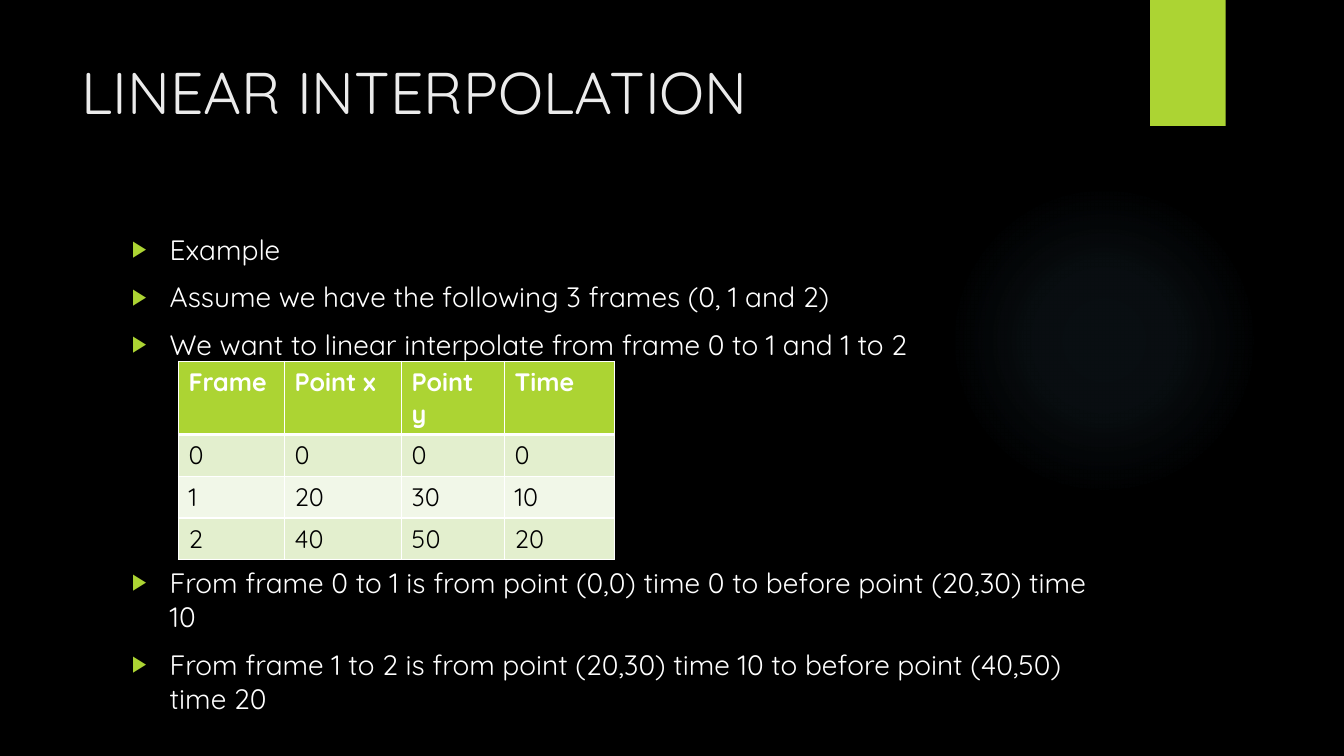
"""Build a dark slide explaining linear interpolation with a table of frames."""
import dataclasses

import lxml.etree
import pptx
import pptx.dml.color
import pptx.enum.shapes
import pptx.enum.text
import pptx.oxml
import pptx.oxml.ns
import pptx.util

Pt = pptx.util.Pt
qn = pptx.oxml.ns.qn


@dataclasses.dataclass(frozen=True)
class Theme:
    font: str = "Quicksand"
    background: str = "000000"
    accent: str = "ACD433"
    glow: str = "7AC4F0"
    title: str = "EBEBEB"
    light: str = "FFFFFF"
    dark: str = "000000"
    bands: tuple = ("E3EFCE", "F1F7E8")
    title_size: int = 42
    body_size: int = 20
    table_size: int = 18


theme = Theme()


def add_run(paragraph, text, size, color, bold=False):
    run = paragraph.add_run()
    run.text = text
    run.font.name = theme.font
    run.font.size = Pt(size)
    run.font.bold = bold
    run.font.color.rgb = pptx.dml.color.RGBColor.from_string(color)


def add_solid(parent, color):
    solid = lxml.etree.SubElement(parent, qn("a:solidFill"))
    lxml.etree.SubElement(solid, qn("a:srgbClr"), val=color)


presentation = pptx.Presentation()
presentation.slide_width = Pt(960)
presentation.slide_height = Pt(540)
slide = presentation.slides.add_slide(presentation.slide_layouts[1])
slide.background.fill.solid()
slide.background.fill.fore_color.rgb = pptx.dml.color.RGBColor.from_string(theme.background)

shape_types = pptx.enum.shapes.MSO_SHAPE
glow = slide.shapes.add_shape(shape_types.OVAL, Pt(677.5), Pt(131.8), Pt(221.8), Pt(221.8))
ribbon = slide.shapes.add_shape(shape_types.RECTANGLE, Pt(821.5), Pt(0), Pt(54), Pt(90))
for position, shape in enumerate((glow, ribbon), start=2):
    shape.shadow.inherit = False
    shape.line.fill.background()
    slide.shapes._spTree.insert(position, shape._element)
ribbon.fill.solid()
ribbon.fill.fore_color.rgb = pptx.dml.color.RGBColor.from_string(theme.accent)

stops = "".join(
    f'<a:gs pos="{place * 1000}"><a:srgbClr val="{theme.glow}">'
    f'<a:alpha val="{alpha * 1000}"/></a:srgbClr></a:gs>'
    for place, alpha in ((0, 7), (36, 6), (69, 0), (100, 0))
)
gradient = pptx.oxml.parse_xml(
    f'<a:gradFill {pptx.oxml.ns.nsdecls("a")} rotWithShape="1"><a:gsLst>{stops}</a:gsLst>'
    '<a:path path="circle"><a:fillToRect l="50000" t="50000" r="50000" b="50000"/></a:path>'
    "</a:gradFill>"
)
glow._element.spPr.find(qn("a:prstGeom")).addnext(gradient)

title = slide.shapes.title
body = slide.placeholders[1]
for placeholder, box in ((title, (51, 36, 741, 110)), (body, (87, 162, 704, 330.5))):
    placeholder.left, placeholder.top, placeholder.width, placeholder.height = map(Pt, box)
    placeholder.text_frame.word_wrap = True
    placeholder.text_frame.auto_size = pptx.enum.text.MSO_AUTO_SIZE.NONE
    placeholder.text_frame.vertical_anchor = pptx.enum.text.MSO_ANCHOR.TOP

heading = title.text_frame.paragraphs[0]
heading.alignment = pptx.enum.text.PP_ALIGN.LEFT
add_run(heading, "LINEAR INTERPOLATION", theme.title_size, theme.title)

bullets = [
    ("Example", 9.7),
    ("Assume we have the following 3 frames (0, 1 and 2)", 9.7),
    ("We want to linear interpolate from frame 0 to 1 and 1 to 2", 9.7),
    ("From frame 0 to 1 is from point (0,0) time 0 to before point (20,30) time 10", 145.7),
    ("From frame 1 to 2 is from point (20,30) time 10 to before point (40,50) time 20", 9.7),
]
for index, (text, gap) in enumerate(bullets):
    paragraph = body.text_frame.add_paragraph() if index else body.text_frame.paragraphs[0]
    paragraph.space_before = Pt(gap if index else 0)
    paragraph.line_spacing = Pt(24.3)
    properties = paragraph._p.get_or_add_pPr()
    properties.set("marL", str(Pt(27)))
    properties.set("indent", str(Pt(-27)))
    bullet_color = lxml.etree.SubElement(properties, qn("a:buClr"))
    lxml.etree.SubElement(bullet_color, qn("a:srgbClr"), val=theme.accent)
    lxml.etree.SubElement(properties, qn("a:buSzPct"), val="80000")
    lxml.etree.SubElement(properties, qn("a:buChar"), char="▶")
    add_run(paragraph, text, theme.body_size, theme.light)

frames = [
    ("Frame", "Point x", "Point y", "Time"),
    ("0", "0", "0", "0"),
    ("1", "20", "30", "10"),
    ("2", "40", "50", "20"),
]
widths = (75.8, 83.6, 73.6, 78.6)
table = slide.shapes.add_table(
    len(frames), len(widths), Pt(127.5), Pt(258), Pt(sum(widths)), Pt(116.8)
).table
table.horz_banding = False
for column, width in zip(table.columns, widths):
    column.width = Pt(width)
for row_index, values in enumerate(frames):
    table.rows[row_index].height = Pt(29.2)
    header = row_index == 0
    fill = theme.accent if header else theme.bands[(row_index - 1) % 2]
    for column_index, value in enumerate(values):
        cell = table.cell(row_index, column_index)
        add_run(cell.text_frame.paragraphs[0], value, theme.table_size,
                theme.light if header else theme.dark, header)
        properties = cell._tc.get_or_add_tcPr()
        for side in ("lnL", "lnR", "lnT", "lnB"):
            thick = (row_index, side) in ((0, "lnB"), (1, "lnT"))
            border = lxml.etree.SubElement(properties, qn(f"a:{side}"), w=str(Pt(3 if thick else 1)))
            add_solid(border, theme.light)
        add_solid(properties, fill)

presentation.save("out.pptx")
